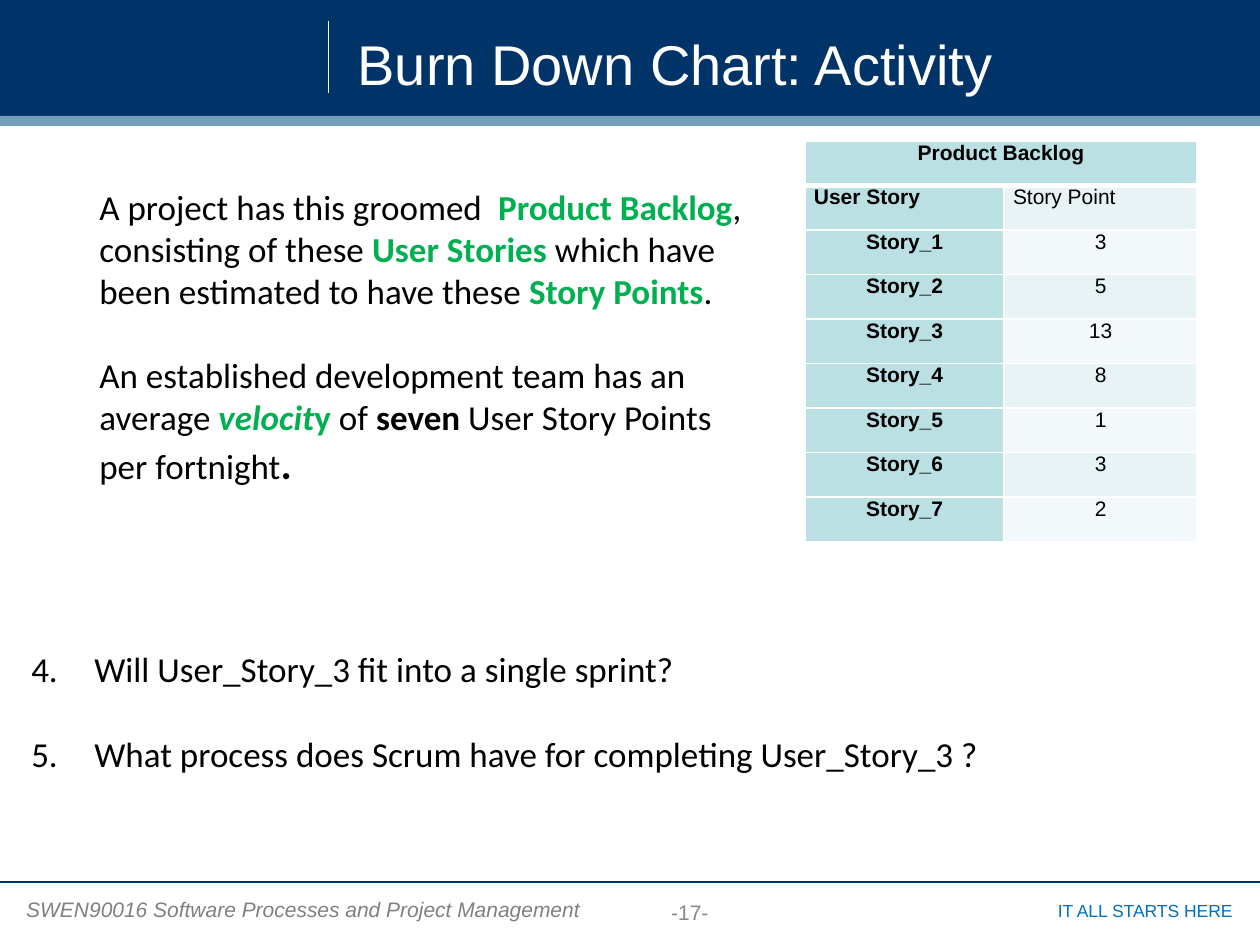
from lxml import etree
from pptx import Presentation
from pptx.dml.color import RGBColor
from pptx.enum.shapes import MSO_CONNECTOR, MSO_SHAPE
from pptx.enum.text import MSO_ANCHOR, PP_ALIGN
from pptx.oxml.ns import qn
from pptx.util import Inches, Pt

LINE = MSO_CONNECTOR.STRAIGHT
RECT = MSO_SHAPE.RECTANGLE
TOP, MID, LOW = MSO_ANCHOR.TOP, MSO_ANCHOR.MIDDLE, MSO_ANCHOR.BOTTOM
LEFT, MIDST, RIGHT = PP_ALIGN.LEFT, PP_ALIGN.CENTER, PP_ALIGN.RIGHT

WHITE = RGBColor(0xFF, 0xFF, 0xFF)
BLACK = RGBColor(0, 0, 0)
NAVY = RGBColor(0x00, 0x33, 0x68)
STEEL = RGBColor(0x75, 0x9F, 0xB8)
GREEN = RGBColor(0x00, 0xB0, 0x50)
BLUE = RGBColor(0x00, 0x70, 0xC0)
GREY = RGBColor(0x80, 0x80, 0x80)
PALE = RGBColor(0x88, 0x88, 0x88)
AQUA = RGBColor(0xBB, 0xE0, 0xE3)
MIST = RGBColor(0xE7, 0xF3, 0xF4)
ICE = RGBColor(0xF3, 0xF9, 0xFA)


class Deck:
    """Draws styled elements on a slide laid out as 100 columns by 75 rows."""

    head = "Arial"
    body = "Calibri"

    def __init__(self):
        self.prs = Presentation()
        self.prs.slide_width, self.prs.slide_height = self.span(100, 75)
        self.slide = self.prs.slides.add_slide(self.prs.slide_layouts[6])
        self.shapes = self.slide.shapes

    def span(self, *cells):
        return [Inches(cell / 10) for cell in cells]

    def bar(self, place, fill):
        bar = self.shapes.add_shape(RECT, *self.span(*place))
        bar.shadow.inherit = False
        bar.fill.solid()
        bar.fill.fore_color.rgb = fill
        bar.line.fill.background()

    def rule(self, ends, color):
        rule = self.shapes.add_connector(LINE, *self.span(*ends))
        rule.line.color.rgb = color
        rule.line.width = Pt(0.75)
        etree.SubElement(rule._element.spPr, qn("a:effectLst"))

    def run(self, para, text, size, font, color, bold=False, slant=False):
        run = para.add_run()
        run.text = text
        run.font.size = Pt(size)
        run.font.name = font
        run.font.color.rgb = color
        run.font.bold = bold
        run.font.italic = slant

    def frame(self, place, anchor=TOP, pad=0.5, top=None):
        frame = self.shapes.add_textbox(*self.span(*place)).text_frame
        frame.word_wrap = True
        frame.vertical_anchor = anchor
        frame.margin_left = frame.margin_right = Inches(0.1)
        frame.margin_bottom, frame.margin_top = self.span(pad, top or pad)
        return frame

    def label(self, place, text, size, color, align=LEFT, anchor=TOP, pad=0.5, slant=False):
        para = self.frame(place, anchor, pad).paragraphs[0]
        para.alignment = align
        self.run(para, text, size, self.head, color, slant=slant)

    def prose(self, place, paras, top=None, start=None):
        frame = self.frame(place, top=top)
        for i, runs in enumerate(paras):
            para = frame.add_paragraph() if i else frame.paragraphs[0]
            if i:
                para.space_before = Pt(24.4)
            if start:
                self.number(para, start + i)
            for text, marks, size in runs:
                color = GREEN if "g" in marks else BLACK
                self.run(para, text, size, self.body, color, "b" in marks, "i" in marks)

    def number(self, para, start):
        props = para._p.get_or_add_pPr()
        props.set("marL", str(Inches(0.5)))
        props.set("indent", str(-Inches(0.5)))
        etree.SubElement(props, qn("a:buFont"), typeface=self.body)
        etree.SubElement(props, qn("a:buAutoNum"), type="arabicPeriod", startAt=str(start))

    def edge(self, cell, row):
        props = cell._tc.get_or_add_tcPr()
        for side in "LRTB":
            thick = (row, side) in ((0, "B"), (1, "T"))
            line = etree.SubElement(props, qn("a:ln" + side), w=str(Pt(3 if thick else 1)))
            fill = etree.SubElement(line, qn("a:solidFill"))
            etree.SubElement(fill, qn("a:srgbClr"), val=str(WHITE))

    def grid(self, place, widths, rows):
        table = self.shapes.add_table(len(rows), len(widths), *self.span(*place)).table
        for col, width in zip(table.columns, self.span(*widths)):
            col.width = width
        for r, row in enumerate(rows):
            for c, text in enumerate(row):
                cell = table.cell(r, c)
                cell.margin_left = cell.margin_right = Inches(0.07)
                cell.margin_top = cell.margin_bottom = 0
                self.edge(cell, r)
                cell.fill.solid()
                band = MIST if r % 2 else ICE
                cell.fill.fore_color.rgb = AQUA if c == 0 or r == 0 else band
                if text:
                    para = cell.text_frame.paragraphs[0]
                    para.alignment = LEFT if r == 1 else MIDST
                    self.run(para, text, 12, self.head, BLACK, c == 0)
        table.cell(0, 0).merge(table.cell(0, len(widths) - 1))


def main():
    deck = Deck()
    deck.bar((0, 0, 100, 9.2), NAVY)
    deck.rule((26.1, 1.7, 26.1, 7.4), WHITE)
    deck.rule((0, 70, 100, 70), NAVY)
    deck.bar((0, 9.2, 100, 0.8), STEEL)
    deck.label((1.1, 70.7, 46.3, 3), "SWEN90016 Software Processes and Project Management",
               12, GREY, slant=True)
    deck.label((78.2, 70.9, 20.6, 2.7), "IT ALL STARTS HERE", 10, BLUE, RIGHT)
    deck.label((39.7, 70.7, 30.1, 3.4), "-17-", 12, PALE, MIDST, MID)
    deck.label((27.4, 1.2, 55.2, 7.5), "Burn Down Chart: Activity", 32, WHITE, anchor=LOW, pad=1)

    asks = ("Will User_Story_3 fit into a single sprint?",
            "What process does Scrum have for completing User_Story_3 ?")
    deck.prose((1.5, 47.5, 92.7, 23.1), [[(ask, "", 20)] for ask in asks], top=3.9, start=4)

    points = (3, 5, 13, 8, 1, 3, 2)
    rows = [("Product Backlog", ""), ("User Story", "Story Point")]
    rows += [(f"Story_{n}", str(point)) for n, point in enumerate(points, 1)]
    deck.grid((63.9, 11.2, 31.1, 31.8), (15.8, 15.3), rows)

    deck.prose((6.9, 14.2, 53.5, 25.2), [
        [("A project has this groomed  ", "", 20), ("Product Backlog", "gb", 20),
         (", consisting of these ", "", 20), ("User Stories ", "gb", 20),
         ("which have been estimated to have these ", "", 20),
         ("Story Points", "gb", 20), (".", "", 20)],
        [("An established development team has an average ", "", 20),
         ("velocit", "gbi", 20), ("y", "gb", 20), (" of ", "", 20), ("seven", "b", 20),
         (" User Story Points per fortnight", "", 20), (".", "b", 24)],
    ])
    deck.prs.save("out.pptx")


if __name__ == "__main__":
    main()
